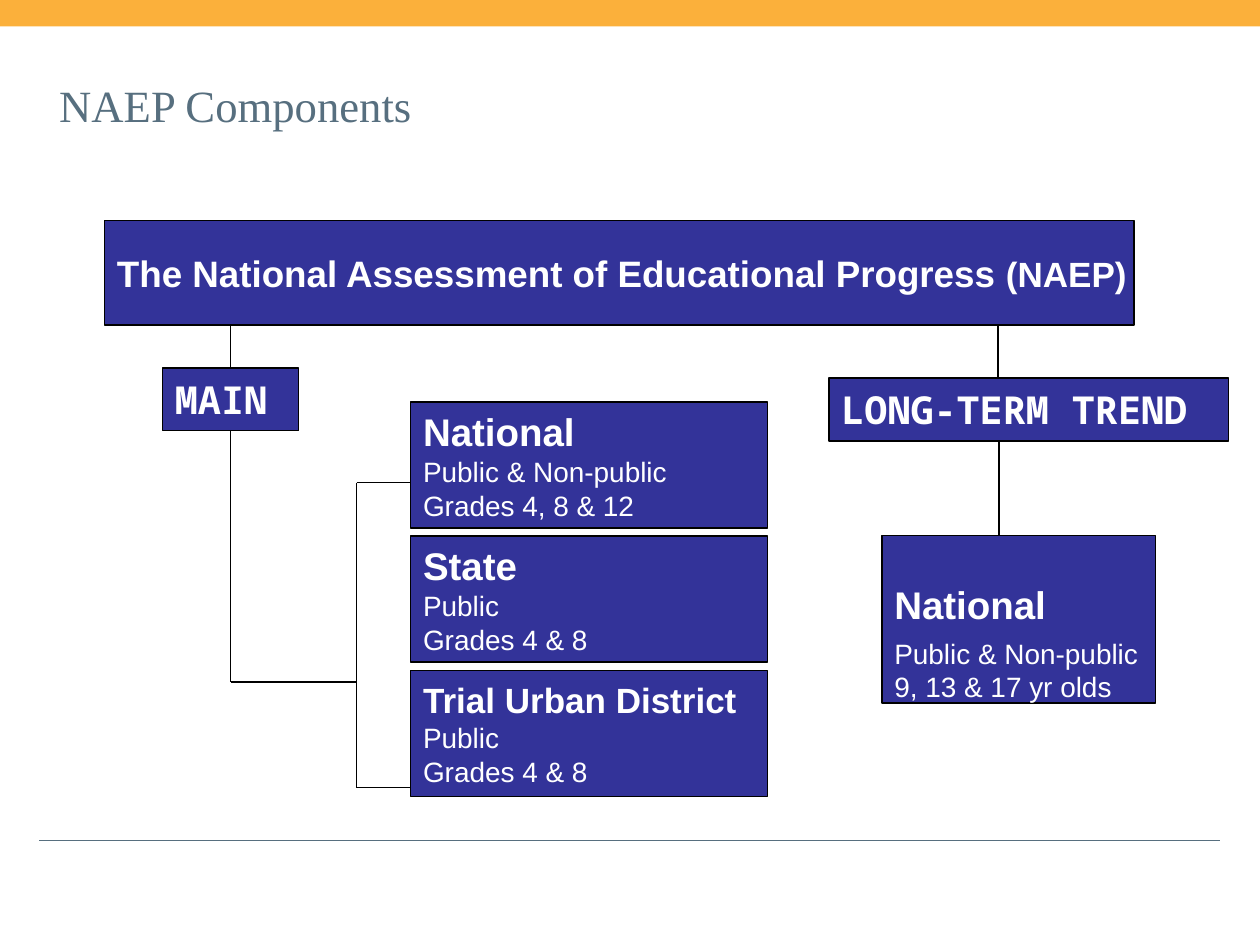
from lxml import etree
from pptx import Presentation
from pptx.dml.color import RGBColor
from pptx.enum.shapes import MSO_CONNECTOR, MSO_SHAPE
from pptx.enum.text import MSO_ANCHOR, PP_ALIGN
from pptx.oxml.ns import qn
from pptx.util import Inches, Pt

AMBER = RGBColor(0xFB, 0xB0, 0x3B)
SLATE = RGBColor(0x57, 0x6F, 0x7F)
INDIGO = RGBColor(0x33, 0x33, 0x99)
BLACK = RGBColor(0, 0, 0)
WHITE = RGBColor(0xFF, 0xFF, 0xFF)

SLIDE_W, SLIDE_H = 10, 7.5
TITLE = "NAEP Components"
PROGRAM = [("The National Assessment of Educational Progress ", 21, "Arial", True),
           ("(NAEP)", 20, "Arial", True)]
BRANCHES = {
    "MAIN": (1.29, 2.92, 1.08, 0.5),
    "LONG-TERM TREND": (6.58, 3, 3.17, 0.5),
}
MAIN_PARTS = [
    ("National", 22, ["Public & Non-public", "Grades 4, 8 & 12"]),
    ("State", 22, ["Public", "Grades 4 & 8"]),
    ("Trial Urban District", 20, ["Public", "Grades 4 & 8"]),
]
TREND_PART = ["Public & Non-public", "9, 13 & 17 yr olds"]

PART_LEFT, PART_TOP, PART_STEP = 3.26, 3.19, 1.065
PROGRAM_BOTTOM = 2.58
MAIN_X, BRACKET_X, TREND_X = 1.83, 2.83, 7.92
BRACKET_TOP, BRACKET_MID, BRACKET_BOTTOM = 3.83, 5.41, 6.25
ELBOWS = [
    ((MAIN_X, BRACKET_MID), (BRACKET_X, BRACKET_MID)),
    ((BRACKET_X, BRACKET_TOP), (BRACKET_X, BRACKET_BOTTOM)),
    ((BRACKET_X, BRACKET_TOP), (PART_LEFT, BRACKET_TOP)),
    ((BRACKET_X, BRACKET_BOTTOM), (PART_LEFT, BRACKET_BOTTOM)),
    ((TREND_X, PROGRAM_BOTTOM), (TREND_X, 3)),
    ((TREND_X + 0.01, 3.5), (TREND_X + 0.01, 4.25)),
]


def detail_lines(lines):
    return [[(line, 16, "Arial", False)] for line in lines]


def add_rect(slide, place, fill):
    rect = slide.shapes.add_shape(MSO_SHAPE.RECTANGLE, *map(Inches, place))
    rect.shadow.inherit = False
    rect.fill.solid()
    rect.fill.fore_color.rgb = fill
    rect.line.fill.background()
    return rect


def add_box(slide, place, paragraphs):
    box = add_rect(slide, place, INDIGO)
    box.line.color.rgb = BLACK
    box.line.width = Pt(0.75)
    frame = box.text_frame
    frame.word_wrap = False
    frame.vertical_anchor = MSO_ANCHOR.MIDDLE
    for index, runs in enumerate(paragraphs):
        paragraph = frame.add_paragraph() if index else frame.paragraphs[0]
        paragraph.alignment = PP_ALIGN.LEFT
        for text, size, font, bold in runs:
            run = paragraph.add_run()
            run.text = text
            run.font.size = Pt(size)
            run.font.name = font
            run.font.bold = bold
            run.font.color.rgb = WHITE
    return box


def add_line(slide, start, end, color=BLACK, width=1):
    line = slide.shapes.add_connector(
        MSO_CONNECTOR.STRAIGHT, *map(Inches, (*start, *end)))
    line.line.color.rgb = color
    line.line.width = Pt(width)
    etree.SubElement(line._element.spPr, qn("a:effectLst"))
    return line


def main():
    deck = Presentation()
    deck.slide_width, deck.slide_height = Inches(SLIDE_W), Inches(SLIDE_H)
    slide = deck.slides.add_slide(deck.slide_layouts[6])

    add_line(slide, (0.31, 6.67), (9.68, 6.67), SLATE, 0.75)
    add_rect(slide, (0, 0, SLIDE_W, 0.21), AMBER)

    title = slide.shapes.add_textbox(*map(Inches, (0.47, 0.62, 9.06, 0.67)))
    frame = title.text_frame
    frame.word_wrap = True
    frame.margin_left = frame.margin_right = 0
    frame.margin_top = frame.margin_bottom = 0
    frame.text = TITLE
    font = frame.paragraphs[0].runs[0].font
    font.name, font.size = "Times New Roman", Pt(25.5)
    font.color.rgb = SLATE

    add_box(slide, (0.83, 1.75, 8.17, 0.83), [PROGRAM])
    branches = {
        name: add_box(slide, place, [[(name, 22, "Noto Sans Mono", True)]])
        for name, place in BRANCHES.items()
    }

    for row, (heading, size, details) in enumerate(MAIN_PARTS):
        add_box(slide, (PART_LEFT, PART_TOP + row * PART_STEP, 2.83, 1),
                [[(heading, size, "Arial", True)], *detail_lines(details)])
    add_box(slide, (7, 4.25, 2.17, 1.33),
            [[("National", 22, "Arial", True), (" ", 48, "Arial Narrow", False)],
             *detail_lines(TREND_PART)])

    stem = add_line(slide, (MAIN_X, PROGRAM_BOTTOM), (MAIN_X, 2.92))
    stem.end_connect(branches["MAIN"], 0)
    trunk = add_line(slide, (MAIN_X, 3.42), (MAIN_X, BRACKET_MID))
    trunk.begin_connect(branches["MAIN"], 2)
    for start, end in ELBOWS:
        add_line(slide, start, end)

    deck.save("out.pptx")


if __name__ == "__main__":
    main()
